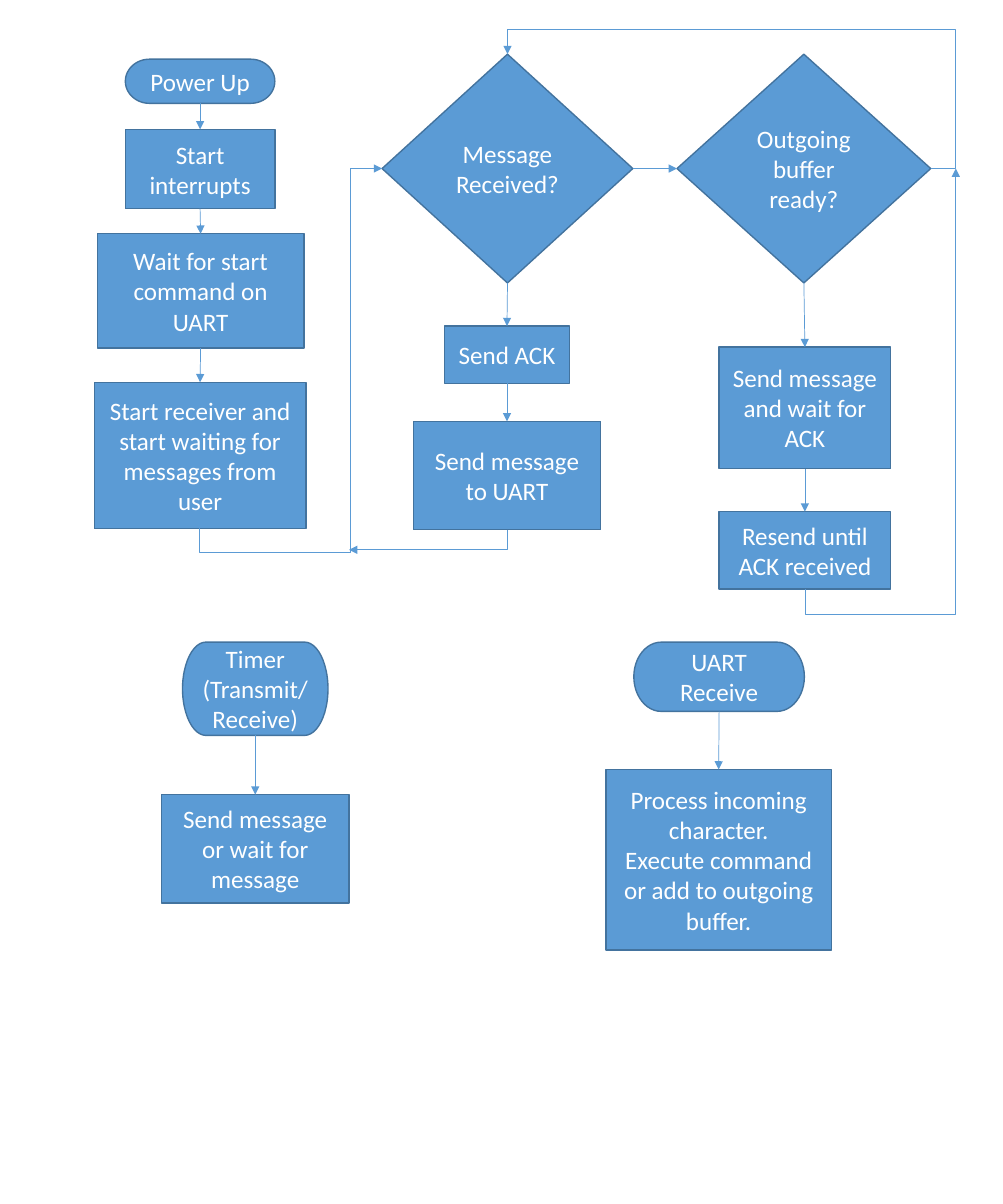
"""Build a flowchart slide of a UART messaging firmware."""
from dataclasses import dataclass

from lxml import etree
from pptx import Presentation
from pptx.dml.color import RGBColor
from pptx.enum import shapes, text
from pptx.oxml import ns
from pptx.util import Inches, Pt

PROCESS = shapes.MSO_SHAPE.FLOWCHART_PROCESS
TERMINATOR = shapes.MSO_SHAPE.FLOWCHART_TERMINATOR
DECISION = shapes.MSO_SHAPE.FLOWCHART_DECISION
TOP, LEFT, BOTTOM, RIGHT = range(4)
STUB = 0.25


@dataclass(frozen=True)
class Theme:
    fill: RGBColor = RGBColor(0x5B, 0x9B, 0xD5)
    border: RGBColor = RGBColor(0x43, 0x73, 0x9E)
    ink: RGBColor = RGBColor(0xFF, 0xFF, 0xFF)
    font: str = "Calibri"
    size: Pt = Pt(18)
    border_width: Pt = Pt(1)
    arrow_width: Pt = Pt(0.5)


@dataclass(frozen=True)
class Node:
    kind: shapes.MSO_SHAPE
    left: float
    top: float
    width: float
    height: float
    lines: tuple[str, ...]


@dataclass(frozen=True)
class Elbow:
    start: tuple[float, float]
    end: tuple[float, float]
    preset: str
    legs: tuple[float, ...] = ()
    turned: bool = True
    flipped: bool = True


THEME = Theme()

NODES = {
    "power": Node(TERMINATOR, 1.25, 0.59, 1.49, 0.44, ("Power Up",)),
    "interrupts": Node(PROCESS, 1.25, 1.29, 1.49, 0.79, ("Start interrupts",)),
    "wait": Node(PROCESS, 0.97, 2.33, 2.06, 1.14, ("Wait for start command on UART",)),
    "receiver": Node(PROCESS, 0.94, 3.81, 2.11, 1.46,
                     ("Start receiver and", "start waiting for messages from user")),
    "received": Node(DECISION, 3.81, 0.54, 2.5, 2.28, ("Message Received?",)),
    "ack": Node(PROCESS, 4.43, 3.25, 1.25, 0.57, ("Send ACK",)),
    "to_uart": Node(PROCESS, 4.12, 4.2, 1.87, 1.08, ("Send message to UART",)),
    "ready": Node(DECISION, 6.75, 0.54, 2.53, 2.28, ("Outgoing buffer ready?",)),
    "send": Node(PROCESS, 7.17, 3.46, 1.71, 1.21, ("Send message and wait for ACK",)),
    "resend": Node(PROCESS, 7.17, 5.1, 1.71, 0.77, ("Resend until ACK received",)),
    "timer": Node(TERMINATOR, 1.82, 6.4, 1.45, 0.93, ("Timer", "(Transmit/Receive)")),
    "transfer": Node(PROCESS, 1.61, 7.92, 1.87, 1.08, ("Send message or wait for message",)),
    "uart": Node(TERMINATOR, 6.32, 6.4, 1.7, 0.69, ("UART Receive",)),
    "character": Node(PROCESS, 6.04, 7.67, 2.25, 1.8,
                      ("Process incoming character.",
                       "Execute command or add to outgoing buffer.")),
}

FLOWS = (
    ("power", "interrupts", "wait", "receiver"),
    ("received", "ack", "to_uart"),
    ("ready", "send", "resend"),
    ("timer", "transfer"),
    ("uart", "character"),
)

ELBOWS = (
    Elbow((1.99, 5.26), (3.81, 1.68), "bentConnector4", (-STUB, 1.5)),
    Elbow((9.28, 1.68), (5.06, 0.54), "bentConnector4", (-STUB, 1.39), turned=False),
    Elbow((8.03, 5.87), (9.53, 1.68), "bentConnector3", (-STUB,)),
    Elbow((5.06, 5.28), (3.48, 5.48), "bentConnector2", flipped=False),
)


def add_node(s, node: Node):
    """Draw one flowchart step with its centred text."""
    sp = s.shapes.add_shape(node.kind, Inches(node.left), Inches(node.top),
                            Inches(node.width), Inches(node.height))
    sp.shadow.inherit = False
    sp.fill.solid()
    sp.fill.fore_color.rgb = THEME.fill
    sp.line.color.rgb = THEME.border
    sp.line.width = THEME.border_width
    tf = sp.text_frame
    tf.word_wrap = True
    tf.vertical_anchor = text.MSO_ANCHOR.MIDDLE
    if node.kind != DECISION:
        tf.margin_left = tf.margin_right = Inches(0.12)
        tf.margin_top = tf.margin_bottom = Inches(0.06)
    for i, line in enumerate(node.lines):
        p = tf.add_paragraph() if i else tf.paragraphs[0]
        p.alignment = text.PP_ALIGN.CENTER
        r = p.add_run()
        r.text = line
        r.font.name = THEME.font
        r.font.size = THEME.size
        r.font.color.rgb = THEME.ink
    return sp


def style_arrow(cxn) -> None:
    """Give a connector its line, arrowhead and empty effect list."""
    cxn.line.color.rgb = THEME.fill
    cxn.line.width = THEME.arrow_width
    sp_pr = cxn._element.spPr
    etree.SubElement(sp_pr.find(ns.qn("a:ln")), ns.qn("a:tailEnd"), type="triangle")
    etree.SubElement(sp_pr, ns.qn("a:effectLst"))


def add_arrow(s, source, source_site: int, target, target_site: int) -> None:
    """Join two steps with a straight arrow."""
    cxn = s.shapes.add_connector(shapes.MSO_CONNECTOR.STRAIGHT, 0, 0, 0, 0)
    cxn.begin_connect(source, source_site)
    cxn.end_connect(target, target_site)
    style_arrow(cxn)


def add_elbow(s, elbow: Elbow) -> None:
    """Draw a bent arrow whose legs are measured from its start."""
    (x1, y1), (x2, y2) = elbow.start, elbow.end
    width, height = abs(x2 - x1), abs(y2 - y1)
    if elbow.turned:
        width, height = height, width
    left, top = (x1 + x2 - width) / 2, (y1 + y2 - height) / 2
    cxn = s.shapes.add_connector(shapes.MSO_CONNECTOR.ELBOW, Inches(left), Inches(top),
                                 Inches(left + width), Inches(top + height))
    sp_pr = cxn._element.spPr
    xfrm = sp_pr.find(ns.qn("a:xfrm"))
    if elbow.turned:
        xfrm.set("rot", str(90 * 60000))
    if elbow.flipped:
        xfrm.set("flipH", "1")
        xfrm.set("flipV", "1")
    geometry = sp_pr.find(ns.qn("a:prstGeom"))
    geometry.set("prst", elbow.preset)
    guides = geometry.find(ns.qn("a:avLst"))
    for i, (leg, side) in enumerate(zip(elbow.legs, (width, height)), 1):
        etree.SubElement(guides, ns.qn("a:gd"), name=f"adj{i}",
                         fmla=f"val {round(leg / side * 100000)}")
    style_arrow(cxn)


def main() -> None:
    """Assemble and save the slide."""
    prs = Presentation()
    prs.slide_width, prs.slide_height = Inches(10), Inches(12)
    s = prs.slides.add_slide(prs.slide_layouts[6])
    steps = {name: add_node(s, node) for name, node in NODES.items()}
    for flow in FLOWS:
        for source, target in zip(flow, flow[1:]):
            add_arrow(s, steps[source], BOTTOM, steps[target], TOP)
    add_arrow(s, steps["received"], RIGHT, steps["ready"], LEFT)
    for elbow in ELBOWS:
        add_elbow(s, elbow)
    prs.save("out.pptx")


main()
